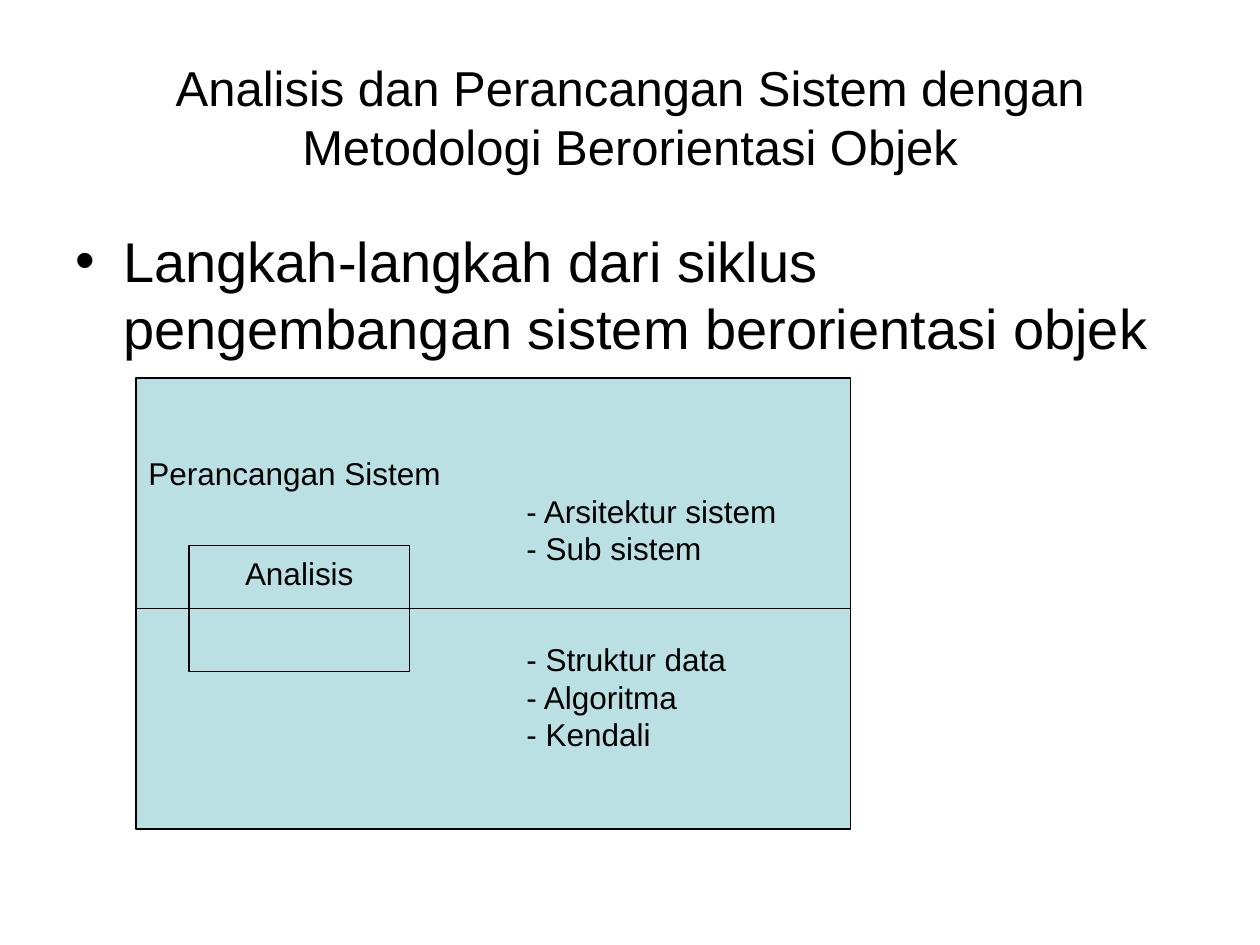
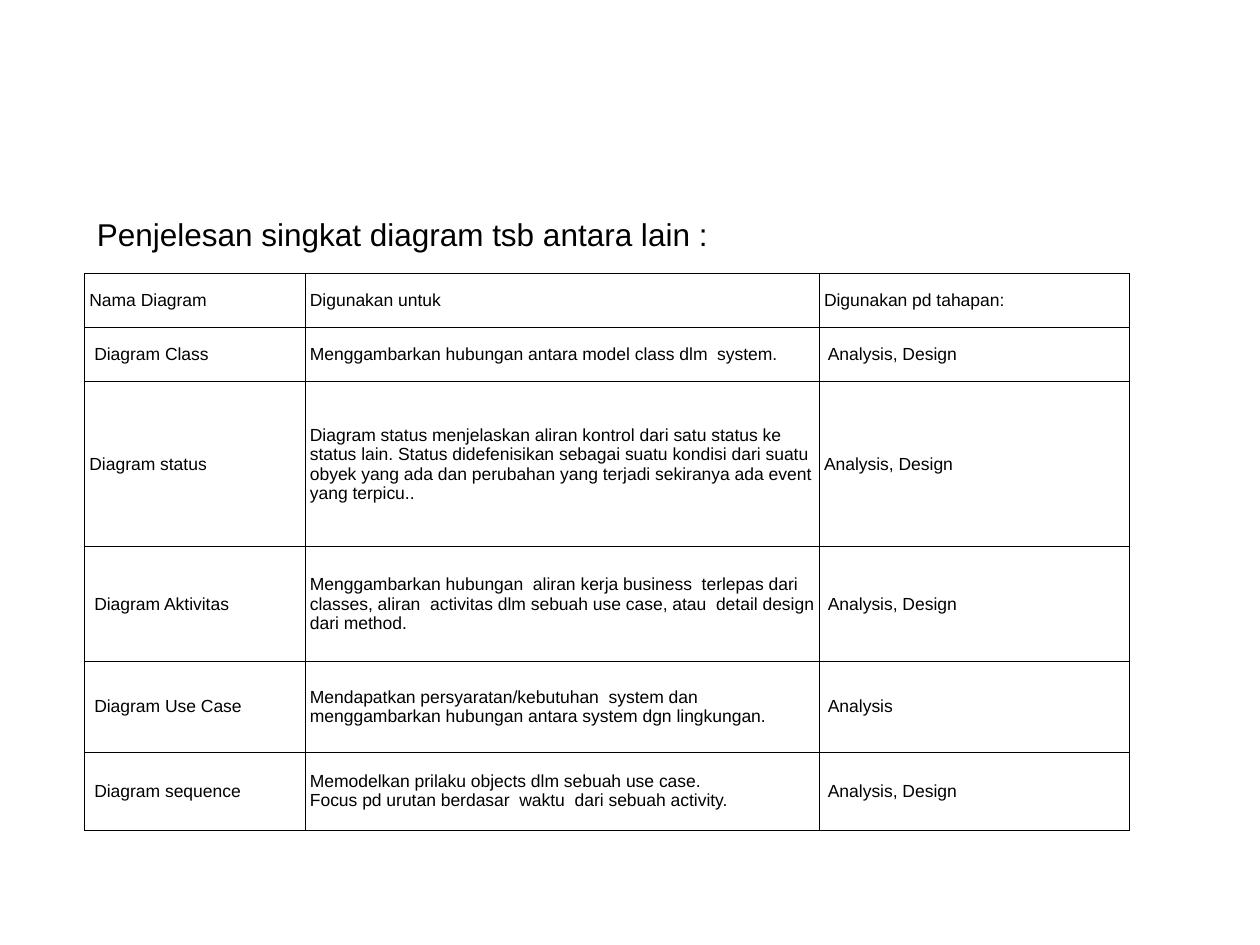
import pptx
import pptx.dml.color
import pptx.enum.shapes
import pptx.enum.text
import pptx.oxml
import pptx.oxml.ns
import pptx.util

Inches = pptx.util.Inches
Pt = pptx.util.Pt
ALIGN = pptx.enum.text.PP_ALIGN
ANCHOR = pptx.enum.text.MSO_ANCHOR
RECTANGLE = pptx.enum.shapes.MSO_SHAPE.RECTANGLE
STRAIGHT = pptx.enum.shapes.MSO_CONNECTOR.STRAIGHT

BLACK = pptx.dml.color.RGBColor(0x00, 0x00, 0x00)
PALE_TEAL = pptx.dml.color.RGBColor(0xBB, 0xE0, 0xE3)
FONT = "Arial"
DRAWING = pptx.oxml.ns.nsdecls("a")
FRAME = {"word_wrap": True, "vertical_anchor": ANCHOR.MIDDLE}


def write(text_frame, lines, size, align=ALIGN.LEFT, **frame_format):
    """Fill a text frame, one paragraph per line, and return the paragraphs."""
    for name, value in {**FRAME, **frame_format}.items():
        setattr(text_frame, name, value)
    for index, line in enumerate(lines):
        paragraph = text_frame.paragraphs[0] if index == 0 else text_frame.add_paragraph()
        paragraph.text = line
        paragraph.alignment = align
        for run in paragraph.runs:
            run.font.name = FONT
            run.font.size = Pt(size)
            run.font.color.rgb = BLACK
    return text_frame.paragraphs


def add_box(slide, left, top, width, height):
    shape = slide.shapes.add_shape(
        RECTANGLE, Inches(left), Inches(top), Inches(width), Inches(height))
    shape.shadow.inherit = False
    shape.fill.solid()
    shape.fill.fore_color.rgb = PALE_TEAL
    shape.line.color.rgb = BLACK
    shape.line.width = Pt(0.75)
    return shape


presentation = pptx.Presentation()
presentation.slide_width = Inches(10)
presentation.slide_height = Inches(7.5)
blank_layout = presentation.slide_layouts[6]

# Slide 1: development cycle
slide = presentation.slides.add_slide(blank_layout)

title = slide.shapes.add_textbox(Inches(0.5), Inches(0.3), Inches(9), Inches(1.25))
write(title.text_frame,
      ["Analisis dan Perancangan Sistem dengan Metodologi Berorientasi Objek"],
      28, ALIGN.CENTER)

body = slide.shapes.add_textbox(Inches(0.5), Inches(1.75), Inches(9), Inches(4.95))
bullet = write(body.text_frame,
               ["Langkah-langkah dari siklus pengembangan sistem berorientasi objek"],
               32, vertical_anchor=ANCHOR.TOP)[0]
bullet.space_before = Pt(8)
properties = bullet._p.get_or_add_pPr()
properties.set("marL", str(Inches(0.38)))
properties.set("indent", str(-Inches(0.38)))
properties.append(pptx.oxml.parse_xml(f'<a:buFont {DRAWING} typeface="{FONT}"/>'))
properties.append(pptx.oxml.parse_xml(f'<a:buChar {DRAWING} char="•"/>'))

design_box = add_box(slide, 1.08, 3, 5.67, 3.58)
design_lines = write(design_box.text_frame, [
    "Perancangan Sistem",
    "- Arsitektur sistem",
    "- Sub sistem",
    "- Struktur data",
    "- Algoritma",
    "- Kendali",
], 18)
for paragraph in design_lines[1:]:
    paragraph._p.get_or_add_pPr().set("marL", str(Inches(3)))
design_lines[3].space_before = Pt(41.4)

analysis_box = add_box(slide, 1.5, 4.33, 1.75, 1)
write(analysis_box.text_frame, ["Analisis"], 18, ALIGN.CENTER,
      vertical_anchor=ANCHOR.TOP, margin_top=Inches(0.07))

# The full divider lies behind the analysis box, the short one in front of it
for start, end, behind in [(1.08, 6.75, True), (1.5, 3.33, False)]:
    divider = slide.shapes.add_connector(
        STRAIGHT, Inches(start), Inches(4.83), Inches(end), Inches(4.83))
    divider.line.color.rgb = BLACK
    divider.line.width = Pt(0.75)
    divider._element.spPr.append(pptx.oxml.parse_xml(f"<a:effectLst {DRAWING}/>"))
    if behind:
        analysis_box._element.addprevious(divider._element)

# Slide 2: diagram table
slide = presentation.slides.add_slide(blank_layout)

column_widths = [1.75, 4.08, 2.46]
row_heights = [0.43, 0.43, 1.31, 0.91, 0.72, 0.62]
diagram_rows = [
    ("Nama Diagram", "Digunakan untuk", "Digunakan pd tahapan:"),
    (" Diagram Class",
     "Menggambarkan hubungan antara model class dlm  system.",
     " Analysis, Design"),
    ("Diagram status",
     "Diagram status menjelaskan aliran kontrol dari satu status ke status lain. "
     "Status didefenisikan sebagai suatu kondisi dari suatu obyek yang ada dan "
     "perubahan yang terjadi sekiranya ada event yang terpicu..",
     "Analysis, Design"),
    (" Diagram Aktivitas",
     "Menggambarkan hubungan  aliran kerja business  terlepas dari  classes, "
     "aliran  activitas dlm sebuah use case, atau  detail design dari method.",
     " Analysis, Design"),
    (" Diagram Use Case",
     "Mendapatkan persyaratan/kebutuhan  system dan menggambarkan hubungan "
     "antara system dgn lingkungan.",
     " Analysis"),
    (" Diagram sequence",
     "Memodelkan prilaku objects dlm sebuah use case.\n"
     "Focus pd urutan berdasar  waktu  dari sebuah activity.",
     " Analysis, Design"),
]

table = slide.shapes.add_table(
    len(row_heights), len(column_widths), Inches(0.67), Inches(2.17),
    Inches(sum(column_widths)), Inches(sum(row_heights))).table
table.first_row = False
table.horz_banding = False
for column, width in zip(table.columns, column_widths):
    column.width = Inches(width)
for row, height, texts in zip(table.rows, row_heights, diagram_rows):
    row.height = Inches(height)
    for cell, text in zip(row.cells, texts):
        write(cell.text_frame, [text], 10)
        cell.vertical_anchor = ANCHOR.MIDDLE
        cell.margin_left = cell.margin_right = Inches(0.04)
        cell_properties = cell._tc.get_or_add_tcPr()
        for edge in ("lnL", "lnR", "lnT", "lnB"):
            cell_properties.append(pptx.oxml.parse_xml(
                f'<a:{edge} {DRAWING} w="{Pt(0.45)}"><a:solidFill>'
                f'<a:srgbClr val="{BLACK}"/></a:solidFill></a:{edge}>'))
        cell.fill.background()

caption = slide.shapes.add_textbox(Inches(0.67), Inches(1.66), Inches(8.29), Inches(0.4))
write(caption.text_frame, ["Penjelesan singkat diagram tsb antara lain :"], 18)

presentation.save("out.pptx")
